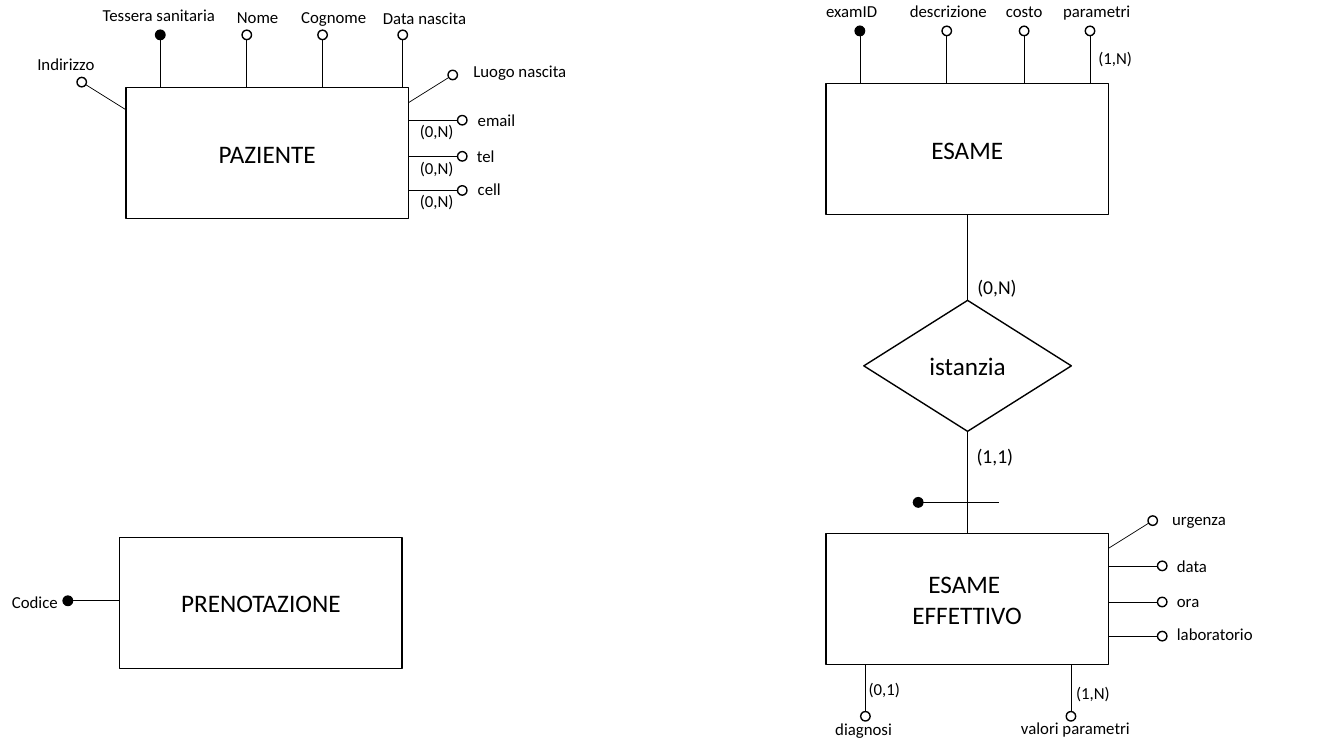
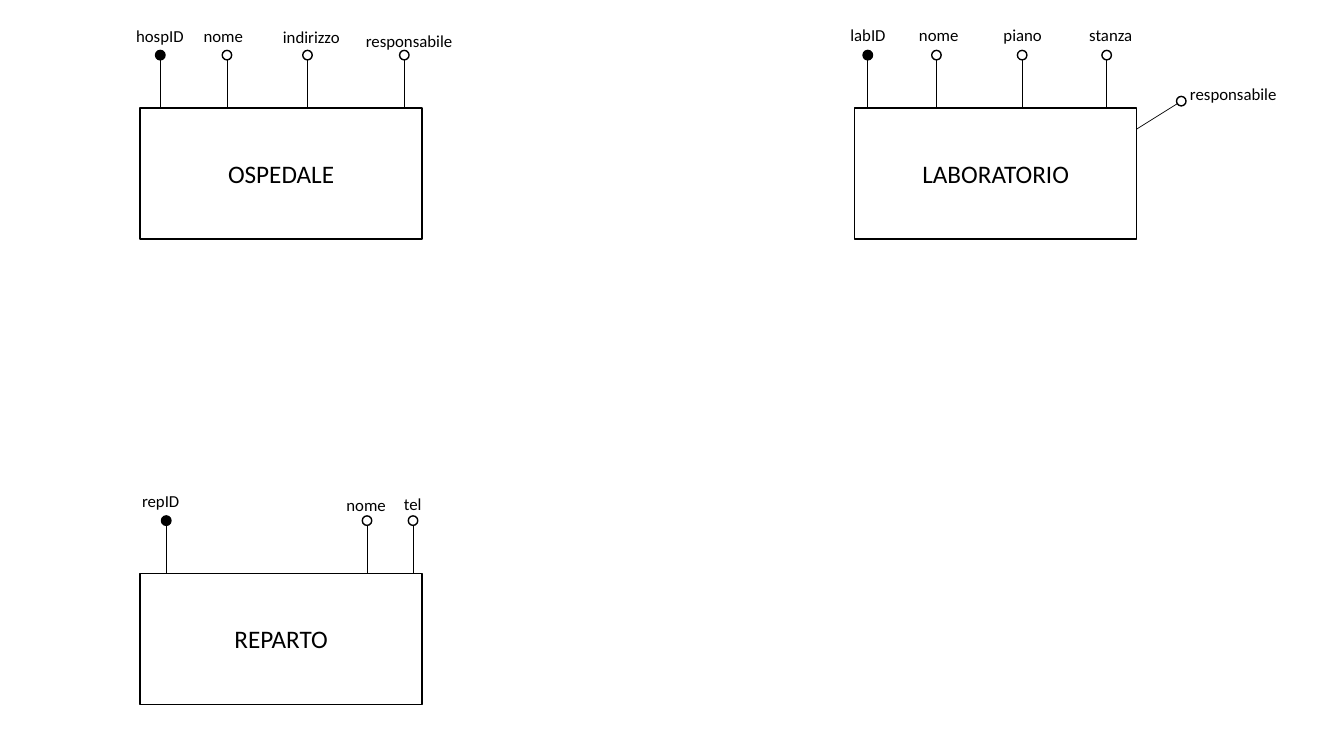
from math import hypot
from lxml import etree
from pptx import Presentation
from pptx.dml.color import RGBColor
from pptx.enum.shapes import MSO_CONNECTOR, MSO_SHAPE
from pptx.enum.text import MSO_ANCHOR, PP_ALIGN
from pptx.oxml.ns import qn
from pptx.util import Cm, Pt

RECT, DIAMOND, OVAL = MSO_SHAPE.RECTANGLE, MSO_SHAPE.DIAMOND, MSO_SHAPE.OVAL
STRAIGHT = MSO_CONNECTOR.STRAIGHT
CENTER, LEFT = PP_ALIGN.CENTER, PP_ALIGN.LEFT
MIDDLE, TOP = MSO_ANCHOR.MIDDLE, MSO_ANCHOR.TOP


class Theme:
    ink = RGBColor(0, 0, 0)
    paper = RGBColor(255, 255, 255)
    font = "Calibri"
    name, card, label = Pt(18), Pt(14), Pt(12)
    edge, thin = Pt(1), Pt(0.5)


# Sizes in cm
BOX_W, BOX_H = 7.11, 3.3
TEXT_H = 0.77
DOT = 0.24

# Offset from the box edge to the dot, by kind of pin
REACH = {
    "up": (0, -1.33), "down": (0, 1.31),
    "left": (-1.31, 0), "right": (1.36, 0),
    "slant": (1.12, -0.7), "back": (-1.12, -0.7),
}


def write(shape, text, size, align=LEFT, anchor=TOP):
    frame = shape.text_frame
    frame.word_wrap = True
    frame.vertical_anchor = anchor
    frame.text = text
    for para in frame.paragraphs:
        para.alignment = align
        for run in para.runs:
            run.font.name = Theme.font
            run.font.size = size
            run.font.color.rgb = Theme.ink


def pin(shapes, x, y, end_x, end_y, fill=None):
    """Line from (x, y) to the end point, with a dot at its start if filled."""
    gap = DOT / 2 / hypot(end_x - x, end_y - y) if fill is not None else 0
    wire = shapes.add_connector(
        STRAIGHT, Cm(x + gap * (end_x - x)), Cm(y + gap * (end_y - y)),
        Cm(end_x), Cm(end_y))
    wire.line.color.rgb = Theme.ink
    wire.line.width = Theme.thin
    etree.SubElement(wire._element.spPr, qn("a:effectLst"))
    if fill is not None:
        dot = shapes.add_shape(OVAL, Cm(x - DOT / 2), Cm(y - DOT / 2),
                               Cm(DOT), Cm(DOT))
        dot.shadow.inherit = False
        dot.fill.solid()
        dot.fill.fore_color.rgb = fill
        dot.line.color.rgb = Theme.ink
        dot.line.width = Theme.edge


# Node: form, name, left, top, width, pins, cardinalities
# Pin: kind, place along the edge, is key, label, label left, top, width
# Cardinality: text, size, left, top, width
clinic = [
    (RECT, "PRENOTAZIONE", 3.02, 13.54, BOX_W, [
        ("left", 15.14, True, "Codice", 0.05, 14.78, 1.68),
    ], []),
    (RECT, "PAZIENTE", 3.18, 2.21, BOX_W, [
        ("up", 4.04, True, "Tessera sanitaria", 2.34, 0, 3.38),
        ("up", 6.22, False, "Nome", 5.72, 0.05, 1.6),
        ("up", 8.13, False, "Cognome", 7.34, 0.05, 2.21),
        ("up", 10.15, False, "Data nascita", 9.4, 0.08, 4.06),
        ("slant", 2.59, False, "Luogo nascita", 11.68, 1.4, 3.05),
        ("right", 3.03, False, "email", 11.79, 2.64, 1.68),
        ("right", 3.94, False, "tel", 11.77, 3.56, 1.68),
        ("right", 4.8, False, "cell", 11.79, 4.37, 1.68),
        ("back", 2.77, False, "Indirizzo", 0.69, 1.24, 2),
    ], [("(0,N)", Theme.label, 10.33, top, 1.68)
        for top in (2.92, 3.84, 4.67)]),
    (DIAMOND, "istanzia", 21.77, 7.57, 5.23, [], [
        ("(0,N)", Theme.card, 24.38, 6.81, 1.52),
        ("(1,1)", Theme.card, 24.36, 11.05, 1.52),
    ]),
    (RECT, "ESAME", 20.82, 2.11, BOX_W, [
        ("up", 21.67, True, "examID", 20.57, -0.1, 1.87),
        ("up", 23.86, False, "descrizione", 22.68, -0.1, 2.53),
        ("up", 25.81, False, "costo", 25.1, -0.1, 1.75),
        ("up", 27.47, False, "parametri", 26.54, -0.1, 2.51),
    ], [("(1,N)", Theme.label, 27.43, 1.09, 1.42)]),
    (RECT, "ESAME \nEFFETTIVO", 20.82, 13.44, BOX_W, [
        ("slant", 13.82, False, "urgenza", 29.29, 12.7, 1.9),
        ("right", 14.26, False, "data", 29.41, 13.87, 1.68),
        ("right", 15.17, False, "ora", 29.41, 14.76, 1.68),
        ("right", 16.03, False, "laboratorio", 29.41, 15.6, 2.51),
        ("down", 21.81, False, "diagnosi", 20.8, 17.98, 2.08),
        ("down", 26.99, False, "valori parametri", 25.48, 17.96, 3.47),
    ], [
        ("(0,1)", Theme.label, 21.64, 16.97, 1.5),
        ("(1,N)", Theme.label, 26.87, 17.09, 1.5),
    ]),
]
wards = [
    (RECT, "OSPEDALE", 3.53, 2.72, BOX_W, [
        ("up", 4.04, True, "hospID", 3.18, 0.53, 1.75),
        ("up", 5.72, False, "nome", 4.88, 0.53, 1.55),
        ("up", 7.75, False, "indirizzo", 6.88, 0.56, 2),
        ("up", 10.19, False, "responsabile", 8.97, 0.64, 2.75),
    ], []),
    (RECT, "REPARTO", 3.53, 14.45, BOX_W, [
        ("up", 4.19, True, "repID", 3.33, 12.24, 1.5),
        ("up", 9.25, False, "nome", 8.48, 12.34, 1.55),
        ("up", 10.41, False, "tel", 9.93, 12.32, 1),
    ], []),
    (RECT, "LABORATORIO", 21.54, 2.72, BOX_W, [
        ("up", 21.87, True, "labID", 21.18, 0.51, 1.45),
        ("up", 23.6, False, "nome", 22.91, 0.51, 1.55),
        ("up", 25.76, False, "piano", 25.04, 0.51, 1.55),
        ("up", 27.89, False, "stanza", 27.2, 0.51, 1.65),
        ("slant", 3.25, False, "responsabile", 29.74, 1.98, 2.75),
    ], []),
]

deck = Presentation()
deck.slide_width, deck.slide_height = Cm(33.87), Cm(19.05)

for nodes in (clinic, wards):
    slide = deck.slides.add_slide(deck.slide_layouts[6])
    for form, name, left, top, width, pins, cards in nodes:
        shapes = slide.shapes.add_group_shape().shapes

        # Entity or relation
        node = shapes.add_shape(form, Cm(left), Cm(top), Cm(width), Cm(BOX_H))
        node.shadow.inherit = False
        node.fill.solid()
        node.fill.fore_color.rgb = Theme.paper
        node.line.color.rgb = Theme.ink
        node.line.width = Theme.edge
        write(node, name, Theme.name, CENTER, MIDDLE)

        # Attributes
        for kind, place, key, *_ in pins:
            if kind in ("up", "down"):
                x, y = place, top if kind == "up" else top + BOX_H
            else:
                x, y = left if kind in ("left", "back") else left + width, place
            dx, dy = REACH[kind]
            pin(shapes, x + dx, y + dy, x, y,
                Theme.ink if key else Theme.paper)

        # Attribute names and cardinalities
        notes = [(text, Theme.label, *spot) for _, _, _, text, *spot in pins]
        for text, size, note_x, note_y, note_w in notes + cards:
            note = shapes.add_textbox(Cm(note_x), Cm(note_y),
                                      Cm(note_w), Cm(TEXT_H))
            write(note, text, size)

# Links of the relation and the external key bar
links = deck.slides[0].shapes.add_group_shape().shapes
pin(links, 24.38, 7.57, 24.38, 5.41)
pin(links, 24.38, 10.87, 24.38, 13.44)
pin(links, 23.14, 12.66, 25.17, 12.66, Theme.ink)

deck.save("out.pptx")
